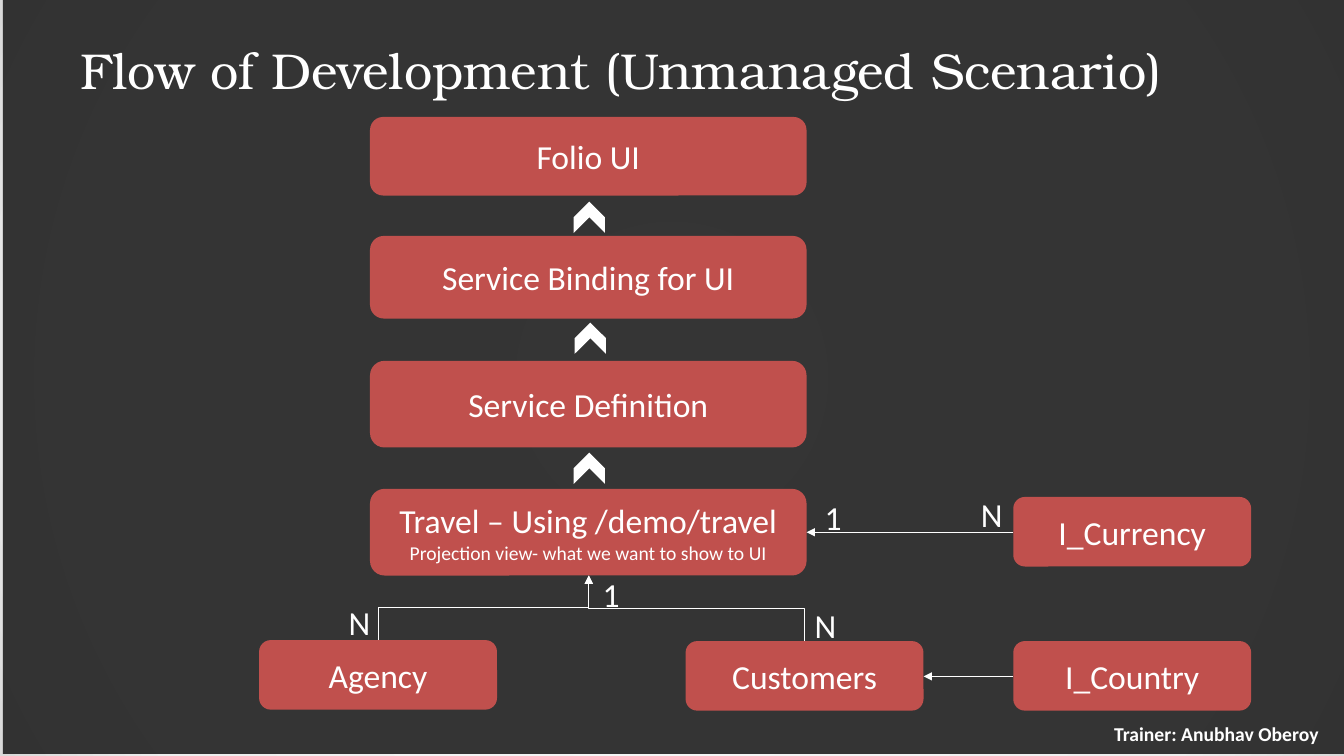
from pptx import Presentation
from pptx import util as u
from pptx.dml.color import RGBColor
from pptx.enum import shapes, text
from pptx.oxml import parse_xml
from pptx.oxml.ns import nsdecls, qn

PX = 9144  # EMU in one px, 100 px to the inch
RED, WHITE, DARK = "C0504D", "FFFFFF", "262626"
KIND, WAY = shapes.MSO_SHAPE, shapes.MSO_CONNECTOR
MID, LEFT = text.PP_ALIGN.CENTER, text.PP_ALIGN.LEFT
BODY = {"name": "Calibri", "size": u.Pt(24), "bold": False}
SMALL = {**BODY, "size": u.Pt(14)}
CREDIT = {**SMALL, "bold": True}
HEAD = {"name": "TeX Gyre Bonum", "size": u.Pt(36), "bold": False}
INSET = {"margin_left": 13 * PX, "margin_right": 13 * PX,
         "margin_top": 7 * PX, "margin_bottom": 7 * PX}

STACK_X, STACK_W = 367, 433
STACK = [  # top, height, lines
    (116, 78, [("Folio UI", BODY)]),
    (234, 82, [("Service Binding for UI", BODY)]),
    (358, 86, [("Service Definition", BODY)]),
    (485, 86, [("Travel – Using /demo/travel", BODY),
               ("Projection view- what we want to show to UI", SMALL)]),
]
NODE_W, NODE_H = 236, 69
NODES = [("Agency", 257, 635), ("Customers", 680, 636),
         ("I_Country", 1005, 636), ("I_Currency", 1005, 493)]
CHEVRONS = [(569, 200), (570, 320), (569, 449)]
MARKS = [("1", 808, 488, 37), ("1", 588, 564, 37), ("N", 336, 592, 42),
         ("N", 798, 595, 42), ("N", 963, 485, 42)]


def px(*nums):
    return [round(n * PX) for n in nums]


def color(code):
    return RGBColor.from_string(code)


def apply(item, form):
    for key, val in form.items():
        setattr(item, key, val)


def write(frame, lines, align=MID, **form):
    """Fill a text frame with (words, font format) lines."""
    apply(frame, {"word_wrap": True,
                  "vertical_anchor": text.MSO_ANCHOR.MIDDLE, **form})
    for i, (words, font) in enumerate(lines):
        para = frame.add_paragraph() if i else frame.paragraphs[0]
        para.alignment = align
        run = para.add_run()
        run.text = words
        apply(run.font, font)
        run.font.color.rgb = color(WHITE)


def block(slide, kind, area, fill):
    shape = slide.shapes.add_shape(kind, *px(*area))
    shape.shadow.inherit = False
    shape.fill.solid()
    shape.fill.fore_color.rgb = color(fill)
    shape.line.fill.background()
    return shape


def box(slide, area, lines):
    write(block(slide, KIND.ROUNDED_RECTANGLE, area, RED).text_frame, lines)


def label(slide, area, words, font, **form):
    write(slide.shapes.add_textbox(*px(*area)).text_frame,
          [(words, font)], **form)


def arrow(slide, kind, *ends):
    link = slide.shapes.add_connector(kind, *px(*ends))
    link.line.color.rgb = color(WHITE)
    link.line.width = u.Pt(0.75)
    line = link.line._get_or_add_ln()
    line.append(parse_xml(f'<a:tailEnd {nsdecls("a")} type="triangle"/>'))
    props = link._element.spPr
    props.append(parse_xml(f'<a:effectLst {nsdecls("a")}/>'))
    return props


def elbow(slide, x, y, end_x, end_y):
    """Elbow that leaves upward: a sideways one, turned by 270 degrees."""
    mid_x, mid_y = (x + end_x) / 2, (y + end_y) / 2
    rise, run = (y - end_y) / 2, (end_x - x) / 2
    props = arrow(slide, WAY.ELBOW, mid_x - rise, mid_y - run,
                  mid_x + rise, mid_y + run)
    props.find(qn("a:xfrm")).set("rot", str(270 * 60000))


def backdrop(slide):
    # Radial gradient
    slide.background.fill.gradient()
    grad = next(slide.element.iter(qn("a:gradFill")))
    stops = "".join(
        f'<a:gs pos="{pos}000"><a:srgbClr val="{code}"/></a:gs>'
        for pos, code in [(0, WHITE), (81, "EEEEEE"), (100, "D9D9D9")])
    grad.getparent().replace(grad, parse_xml(
        f'<a:gradFill {nsdecls("a")}><a:gsLst>{stops}</a:gsLst>'
        '<a:path path="circle"><a:fillToRect l="50000" t="50000" '
        'r="50000" b="50000"/></a:path></a:gradFill>'))
    # Dark veil
    veil = block(slide, KIND.RECTANGLE, (3, -2, 1333, 750), DARK)
    tint = next(veil._element.spPr.iter(qn("a:srgbClr")))
    tint.append(parse_xml(f'<a:alpha {nsdecls("a")} val="93000"/>'))


def title(slide, words):
    head = slide.shapes.title
    apply(head, dict(zip(("left", "top", "width", "height"),
                         px(67, 30, 1200, 78))))
    write(head.text_frame, [(words, HEAD)], LEFT, **INSET)
    # Bring in front of the veil
    slide.shapes.element.append(head.element)


def main():
    deck = Presentation()
    deck.slide_width, deck.slide_height = px(1333, 750)
    slide = deck.slides.add_slide(deck.slide_layouts[5])
    backdrop(slide)
    title(slide, "Flow of Development (Unmanaged Scenario)")
    label(slide, (1084, 708, 245, 39), "Trainer: Anubhav Oberoy",
          CREDIT, **INSET)

    # Layers and sources
    for top, high, lines in STACK:
        box(slide, (STACK_X, top, STACK_W, high), lines)
    for name, x, y in NODES:
        box(slide, (x, y, NODE_W, NODE_H), [(name, BODY)])

    # Links between them
    elbow(slide, 375, 635, 584, 571)
    elbow(slide, 798, 636, 584, 571)
    arrow(slide, WAY.STRAIGHT, 1005, 671, 916, 671)
    arrow(slide, WAY.STRAIGHT, 1005, 528, 800, 528)

    # Cardinality marks
    for mark, x, y, wide in MARKS:
        label(slide, (x, y, wide, 50), mark, BODY, align=LEFT,
              word_wrap=False, vertical_anchor=text.MSO_ANCHOR.TOP)

    # Upward chevrons
    for x, y in CHEVRONS:
        block(slide, KIND.CHEVRON, (x, y, 31, 31), WHITE).rotation = 270

    deck.save("out.pptx")


if __name__ == "__main__":
    main()
